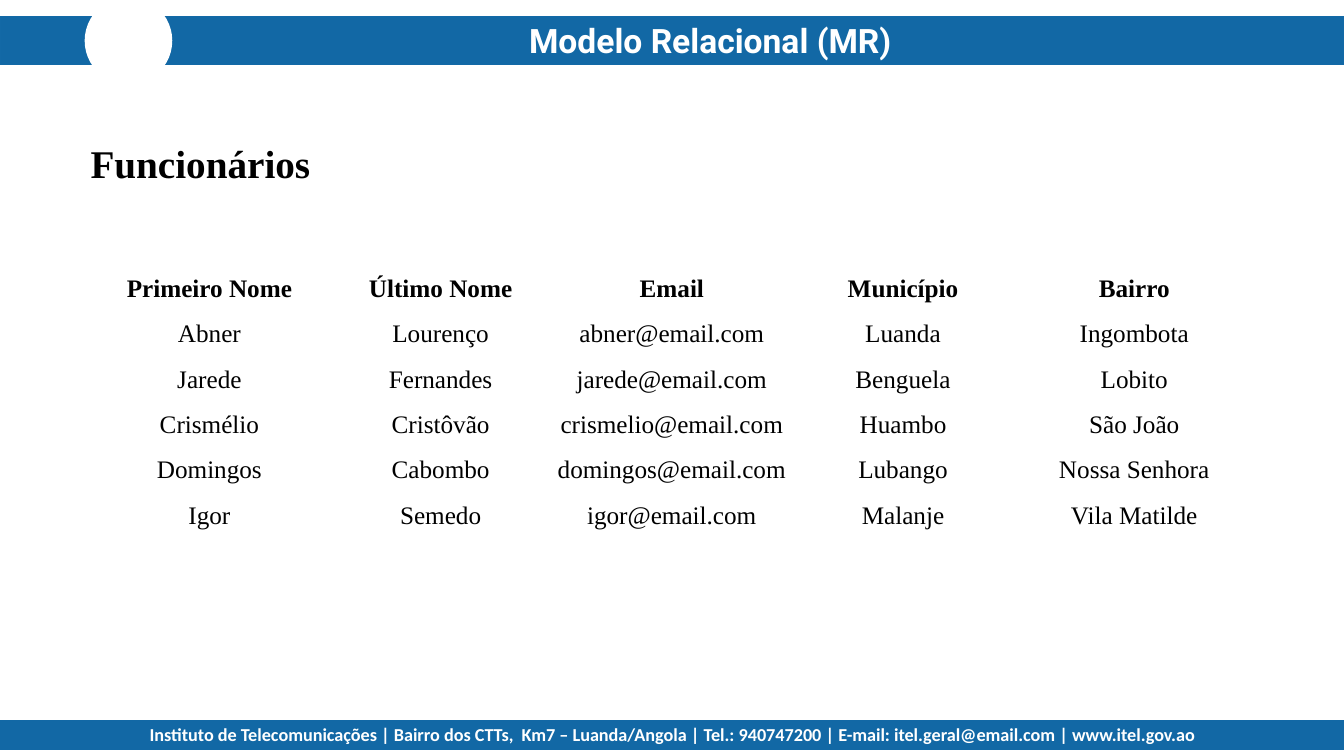
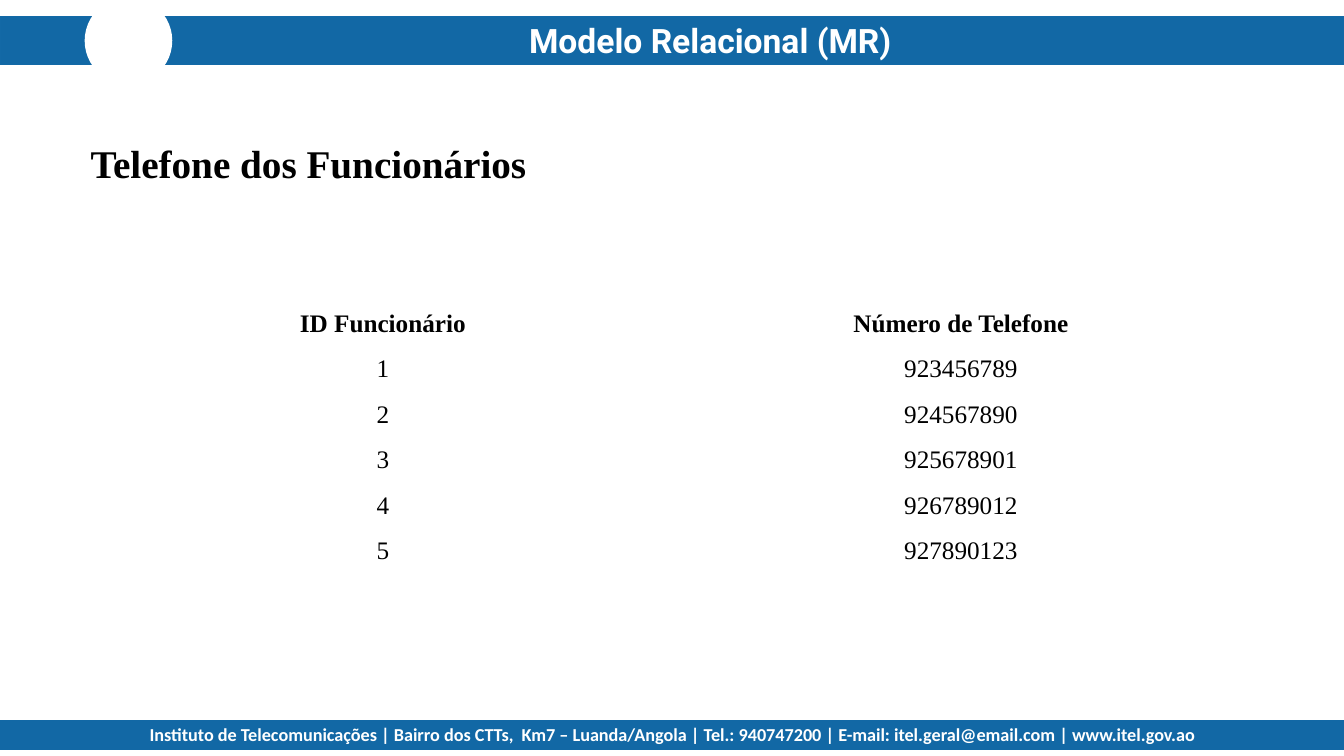
from pptx import Presentation
from pptx.dml.color import RGBColor
from pptx.enum.shapes import MSO_SHAPE
from pptx.enum.text import MSO_ANCHOR, MSO_AUTO_SIZE, PP_ALIGN
from pptx.util import Pt

RECTANGLE, OVAL = MSO_SHAPE.RECTANGLE, MSO_SHAPE.OVAL
LEFT, CENTER = PP_ALIGN.LEFT, PP_ALIGN.CENTER
TOP, MIDDLE = MSO_ANCHOR.TOP, MSO_ANCHOR.MIDDLE
FIT_SHAPE = MSO_AUTO_SIZE.SHAPE_TO_FIT_TEXT

WIDTH, HEIGHT = 960, 540
TITLE_ONLY = 5
COLORS = {"band": "1268A5", "edge": "1369A6", "white": "FFFFFF", "black": "000000"}

# Text formats
TITLE = {"name": "Roboto", "size": Pt(24), "bold": True, "color": "white"}
FOOTER = {"name": "Calibri", "size": Pt(13), "bold": True, "color": "white"}
HEADING = {"name": "Times New Roman", "size": Pt(28), "bold": True, "color": "black"}
HEADER = {**HEADING, "size": Pt(18)}
BODY = {**HEADER, "bold": False}

# Table placement
TABLE_LEFT, TABLE_WIDTH, ROW_HEIGHT = 67, 825.8, 32.4

TITLE_TEXT = "Modelo Relacional (MR)"
FOOTER_TEXT = (
    "Instituto de Telecomunicações | Bairro dos CTTs,  Km7 – Luanda/Angola | "
    "Tel.: 940747200 | E-mail: itel.geral@email.com | www.itel.gov.ao"
)

EMPLOYEES = [
    ("Primeiro Nome", "Último Nome", "Email", "Município", "Bairro"),
    ("Abner", "Lourenço", "abner@email.com", "Luanda", "Ingombota"),
    ("Jarede", "Fernandes", "jarede@email.com", "Benguela", "Lobito"),
    ("Crismélio", "Cristôvão", "crismelio@email.com", "Huambo", "São João"),
    ("Domingos", "Cabombo", "domingos@email.com", "Lubango", "Nossa Senhora"),
    ("Igor", "Semedo", "igor@email.com", "Malanje", "Vila Matilde"),
]
PHONES = [
    ("ID Funcionário", "Número de Telefone"),
    ("1", "923456789"),
    ("2", "924567890"),
    ("3", "925678901"),
    ("4", "926789012"),
    ("5", "927890123"),
]

# Heading, table top, table rows
PAGES = [
    ("Funcionários", 185, EMPLOYEES),
    ("Telefone dos Funcionários", 210.2, PHONES),
]


def color(name):
    return RGBColor.from_string(COLORS[name])


def write(frame, text, style, align):
    """Put one formatted paragraph in a text frame."""
    para = frame.paragraphs[0]
    para.alignment = align
    span = para.add_run()
    span.text = text
    for key, value in style.items():
        if key == "color":
            span.font.color.rgb = color(value)
        else:
            setattr(span.font, key, value)
    return para


def fill_box(box, text, style, align):
    """Write in a text box or placeholder that grows with its text."""
    frame = box.text_frame
    frame.word_wrap = True
    frame.auto_size = FIT_SHAPE
    frame.vertical_anchor = TOP
    write(frame, text, style, align)


def add_text(page, place, text, style, align=LEFT):
    box = page.shapes.add_textbox(*map(Pt, place))
    fill_box(box, text, style, align)
    return box


def add_shape(page, kind, place, fill, line=None):
    shape = page.shapes.add_shape(kind, *map(Pt, place))
    shape.shadow.inherit = False
    shape.fill.solid()
    shape.fill.fore_color.rgb = color(fill)
    if line:
        shape.line.color.rgb = color(line)
        shape.line.width = Pt(1)
    else:
        shape.line.fill.background()
    return shape


def add_table(page, top, rows):
    columns = len(rows[0])
    place = (TABLE_LEFT, top, TABLE_WIDTH, ROW_HEIGHT * len(rows))
    table = page.shapes.add_table(len(rows), columns, *map(Pt, place)).table
    table.first_row = table.horz_banding = False
    cell_format = {"vertical_anchor": MIDDLE, "margin_left": 0, "margin_right": 0,
                   "margin_top": 0, "margin_bottom": 0}
    for row, values in enumerate(rows):
        for column, value in enumerate(values):
            cell = table.cell(row, column)
            cell.fill.background()
            for key, setting in cell_format.items():
                setattr(cell, key, setting)
            para = write(cell.text_frame, value, BODY if row else HEADER, CENTER)
            para.line_spacing = 1.5


def move_to_layout(page, shapes):
    """Make shapes of a page part of its layout, shared by all pages."""
    layout = page.slide_layout
    for holder in list(layout.placeholders)[1:]:
        layout.shapes.element.remove(holder.element)
    for shape in shapes:
        layout.shapes.element.append(shape.element)


def add_frame(page):
    """Draw the bands, the disc and the footer once, in the layout."""
    move_to_layout(page, [
        add_shape(page, RECTANGLE, (0, 12, WIDTH, 34), "band", "edge"),
        add_shape(page, OVAL, (60.5, -2.2, 62.6, 62.6), "white"),
        add_shape(page, RECTANGLE, (0, 514.8, WIDTH, 20.2), "band", "band"),
        add_text(page, (0, 513.4, WIDTH, 23), FOOTER_TEXT, FOOTER, CENTER),
    ])


def add_title(page):
    title = page.shapes.title
    place = dict(zip(("left", "top", "width", "height"), (239.8, 10.8, 535, 36)))
    for key, value in place.items():
        setattr(title, key, Pt(value))
    fill_box(title, TITLE_TEXT, TITLE, CENTER)


def main():
    deck = Presentation()
    deck.slide_width, deck.slide_height = Pt(WIDTH), Pt(HEIGHT)
    layout = deck.slide_layouts[TITLE_ONLY]
    for number, (heading, table_top, rows) in enumerate(PAGES):
        page = deck.slides.add_slide(layout)
        if number == 0:
            add_frame(page)
        add_title(page)
        add_text(page, (57.6, 95.8, 400, 41), heading, HEADING)
        add_table(page, table_top, rows)
    deck.save("out.pptx")


if __name__ == "__main__":
    main()
